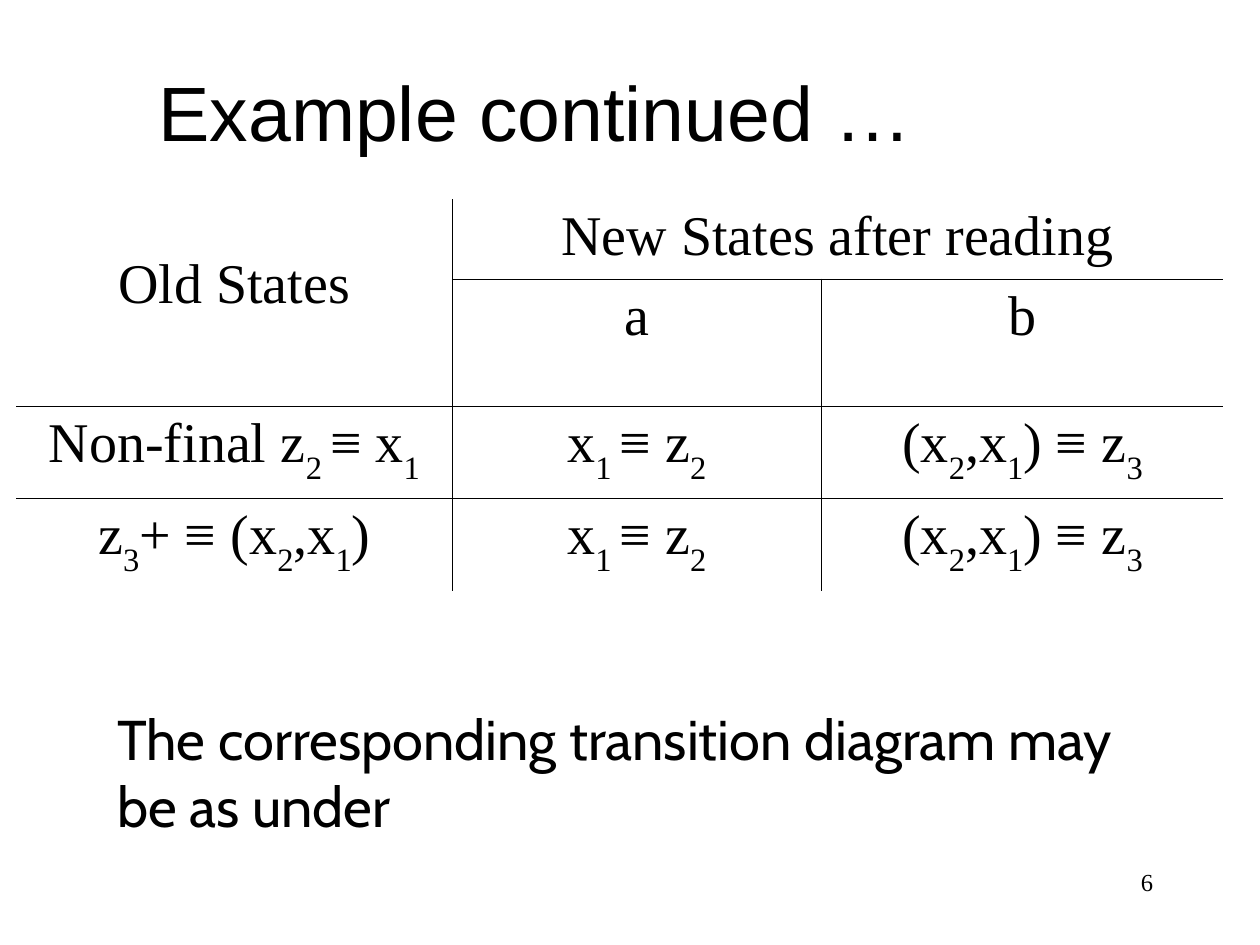
from pptx import Presentation
from pptx.dml.color import RGBColor
from pptx.enum.text import MSO_ANCHOR as Anchor, PP_ALIGN as Align
from pptx.oxml import parse_xml
from pptx.oxml.ns import nsdecls
from pptx.util import Inches, Pt

BLACK = RGBColor(0, 0, 0)
SERIF, SANS, BODY = "Times New Roman", "Arial", "Cabin"
NO_STYLE = "{2D5ABB26-0587-4C30-8999-92F81FD0307C}"


def write_text(frame, text, font=SERIF, size=32, align=Align.CENTER, anchor=Anchor.TOP):
    """Fill a text frame, setting the parts in braces as subscripts."""
    frame.word_wrap = True
    frame.vertical_anchor = anchor
    paragraph = frame.paragraphs[0]
    paragraph.alignment = align
    for index, part in enumerate(text.replace("}", "{").split("{")):
        if part:
            run = paragraph.add_run()
            run.text = part
            run.font.name, run.font.size = font, Pt(size)
            run.font.color.rgb = BLACK
            if index % 2:
                run.font._element.set("baseline", "-30000")


class SlideBuilder:
    """Hold the ruling style and the current slide."""

    def __init__(self, slide, line_color=BLACK, line_width=0.45):
        self.slide = slide
        self.line_color = line_color
        self.line_width = line_width

    def text(self, text, left, top, width, height, margin_left=0.1, margin_top=0.05, **style):
        box = self.slide.shapes.add_textbox(*map(Inches, (left, top, width, height)))
        frame = box.text_frame
        frame.margin_left, frame.margin_top = Inches(margin_left), Inches(margin_top)
        write_text(frame, text, **style)

    def table(self, rows, left, top, widths, heights, merges):
        size = map(Inches, (left, top, sum(widths), sum(heights)))
        table = self.slide.shapes.add_table(len(heights), len(widths), *size).table
        table.first_row = table.horz_banding = False
        table._tbl.tblPr.find("{*}tableStyleId").text = NO_STYLE
        for column, width in zip(table.columns, widths):
            column.width = Inches(width)
        for row, height in zip(table.rows, heights):
            row.height = Inches(height)
        for first, last in merges:
            table.cell(*first).merge(table.cell(*last))
        for row, texts in enumerate(rows):
            for column, text in enumerate(texts):
                cell = table.cell(row, column)
                if cell.is_spanned:
                    continue
                write_text(cell.text_frame, text)
                self.rule(cell, {
                    "L": column > 0,
                    "R": column + cell.span_width < len(widths),
                    "T": row > 0,
                    "B": row + cell.span_height < len(heights),
                })
                cell.fill.background()
        return table

    def rule(self, cell, edges):
        properties = cell._tc.get_or_add_tcPr()
        for edge, inner in edges.items():
            fill = (f'<a:solidFill><a:srgbClr val="{self.line_color}"/></a:solidFill>'
                    if inner else "<a:noFill/>")
            properties.append(parse_xml(
                f'<a:ln{edge} {nsdecls("a")} w="{Pt(self.line_width)}">{fill}</a:ln{edge}>'))


def main():
    presentation = Presentation()
    presentation.slide_width, presentation.slide_height = Inches(10), Inches(7.5)
    builder = SlideBuilder(presentation.slides.add_slide(presentation.slide_layouts[6]))

    builder.text("6", 7.17, 6.83, 2.08, 0.5, size=14, align=Align.RIGHT)
    builder.text("Example continued …", 0, 0.25, 8.5, 1.25,
                 font=SANS, size=44, anchor=Anchor.MIDDLE)
    to_z2, to_z3 = "x{1 }≡ z{2}", "(x{2},x{1}) ≡ z{3}"
    table = builder.table(
        [["Old States", "New States after reading", ""],
         ["", "a", "b"],
         ["Non-final z{2 }≡ x{1}", to_z2, to_z3],
         ["z{3}+ ≡ (x{2},x{1})", to_z2, to_z3]],
        0.13, 1.58, widths=[3.46, 2.93, 3.19], heights=[0.59, 0.96, 0.69, 0.69],
        merges=[((0, 0), (1, 0)), ((0, 1), (0, 2))])
    table.cell(0, 0).margin_top = Inches(0.43)
    builder.text("The corresponding transition diagram may be as under", 0.45, 5, 8.94, 1.79,
                 margin_left=0.48, margin_top=0.59, font=BODY, align=Align.LEFT)
    presentation.save("out.pptx")


if __name__ == "__main__":
    main()
